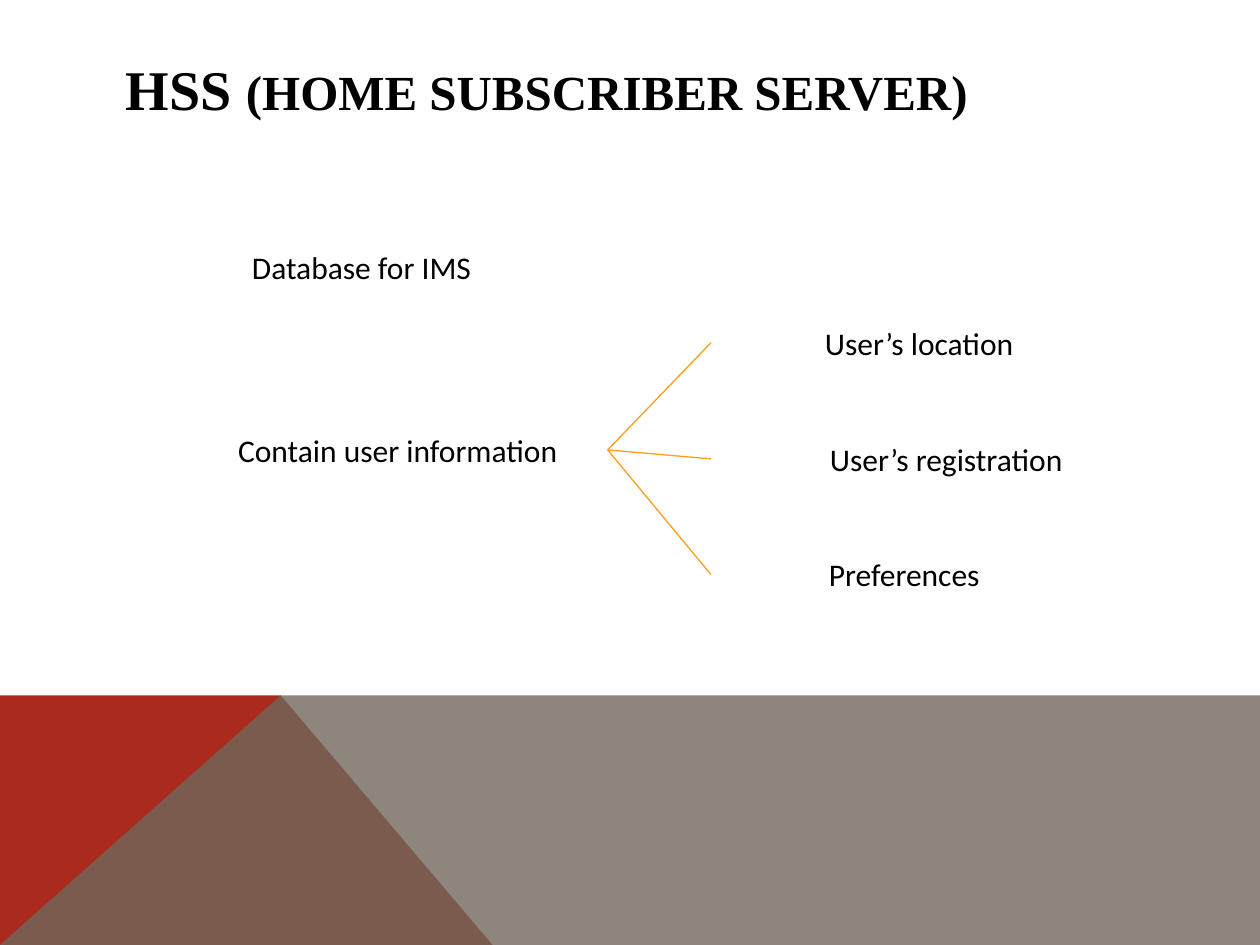
"""Build the slide on the Home Subscriber Server."""
from lxml.etree import SubElement
from pptx import Presentation
from pptx.dml.color import RGBColor
from pptx.enum.shapes import MSO_CONNECTOR
from pptx.enum.text import MSO_ANCHOR, MSO_AUTO_SIZE
from pptx.oxml.ns import qn
from pptx.util import Cm, Pt

WIDTH, HEIGHT = 25.4, 19.05
BAND_TOP, PEAK = 14.02, 5.66
LABEL_WIDTH, LABEL_HEIGHT = 7.7, 1.02


def color(value):
    """Turn a hex string into a colour."""
    return RGBColor.from_string(value)


def add_polygon(page, points, fill, opacity=100):
    """Draw a filled outline through points given in centimetres."""
    start, *others = [(Cm(x), Cm(y)) for x, y in points]
    builder = page.shapes.build_freeform(*start)
    builder.add_line_segments(others, close=True)
    shape = builder.convert_to_shape()
    shape.shadow.inherit = False
    shape.fill.solid()
    shape.fill.fore_color.rgb = color(fill)
    shape.line.fill.background()
    if opacity < 100:
        tone = shape.fill._xPr.find(qn("a:solidFill"))[0]
        SubElement(tone, qn("a:alpha"), val=str(opacity * 1000))


def add_span(paragraph, text, size=18, font="Calibri", bold=False, ink="000000"):
    """Append a formatted run to a paragraph."""
    span = paragraph.add_run()
    span.text = text
    span.font.size = Pt(size)
    span.font.name = font
    span.font.bold = bold
    span.font.color.rgb = color(ink)


def add_box(page, left, top, width=LABEL_WIDTH, height=LABEL_HEIGHT):
    """Add an empty wrapping text box."""
    box = page.shapes.add_textbox(Cm(left), Cm(top), Cm(width), Cm(height))
    box.text_frame.word_wrap = True
    return box


def add_title(page):
    """Add the heading in two sizes."""
    frame = add_box(page, 2.29, 1.02, 20.88, 1.52).text_frame
    frame.vertical_anchor = MSO_ANCHOR.MIDDLE
    for text, size in (("HSS ", 32), ("(HOME SUBSCRIBER SERVER)", 28)):
        add_span(frame.paragraphs[0], text, size=size, font="Times New Roman", bold=True)


def add_label(page, text, left, top):
    """Add a one-line label and return its box."""
    box = add_box(page, left, top)
    box.text_frame.auto_size = MSO_AUTO_SIZE.SHAPE_TO_FIT_TEXT
    add_span(box.text_frame.paragraphs[0], text)
    return box


def add_branch(page, source, x, y):
    """Draw a line from the right side of a box to a point."""
    line = page.shapes.add_connector(MSO_CONNECTOR.STRAIGHT, 0, 0, Cm(x), Cm(y))
    line.begin_connect(source, 3)
    line.line.color.rgb = color("FD9D1D")
    line.line.width = Pt(0.75)
    SubElement(line._element.spPr, qn("a:effectLst"))


def main():
    """Build and save the deck."""
    deck = Presentation()
    deck.slide_width, deck.slide_height = Cm(WIDTH), Cm(HEIGHT)
    page = deck.slides.add_slide(deck.slide_layouts[6])

    add_polygon(page, [(0, HEIGHT), (0, BAND_TOP), (PEAK, BAND_TOP), (9.93, HEIGHT)], "AA2B1E")
    add_polygon(page, [(0, HEIGHT), (PEAK, BAND_TOP), (WIDTH, BAND_TOP), (WIDTH, HEIGHT)],
                "71685C", opacity=80)
    add_title(page)
    add_label(page, "Database for IMS", 4.83, 4.88)
    source = add_label(page, "Contain user information", 4.55, 8.56)
    details = [("User’s location", 16.38, 6.4),
               ("User’s registration", 16.48, 8.74),
               ("Preferences", 16.46, 11.07)]
    for text, left, top in details:
        add_label(page, text, left, top)
        add_branch(page, source, 14.33, top + LABEL_HEIGHT / 2)
    deck.save("out.pptx")


if __name__ == "__main__":
    main()
